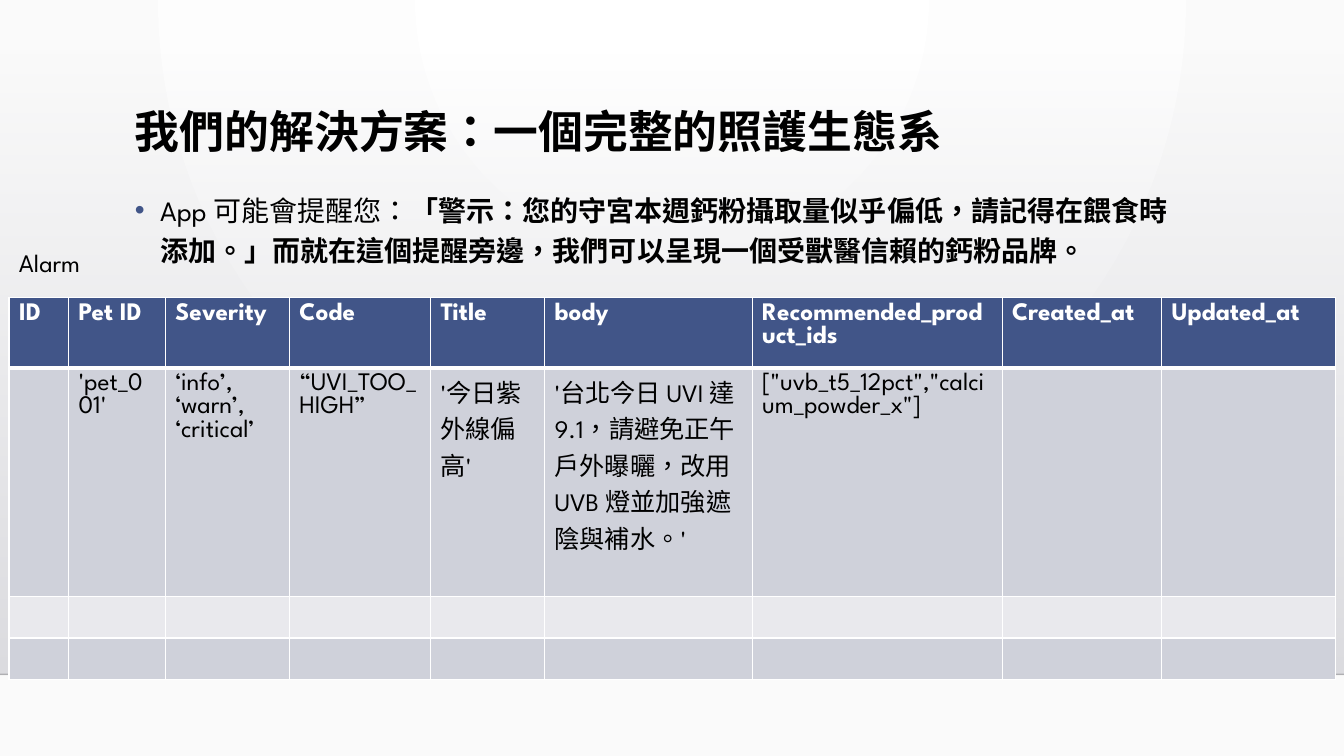
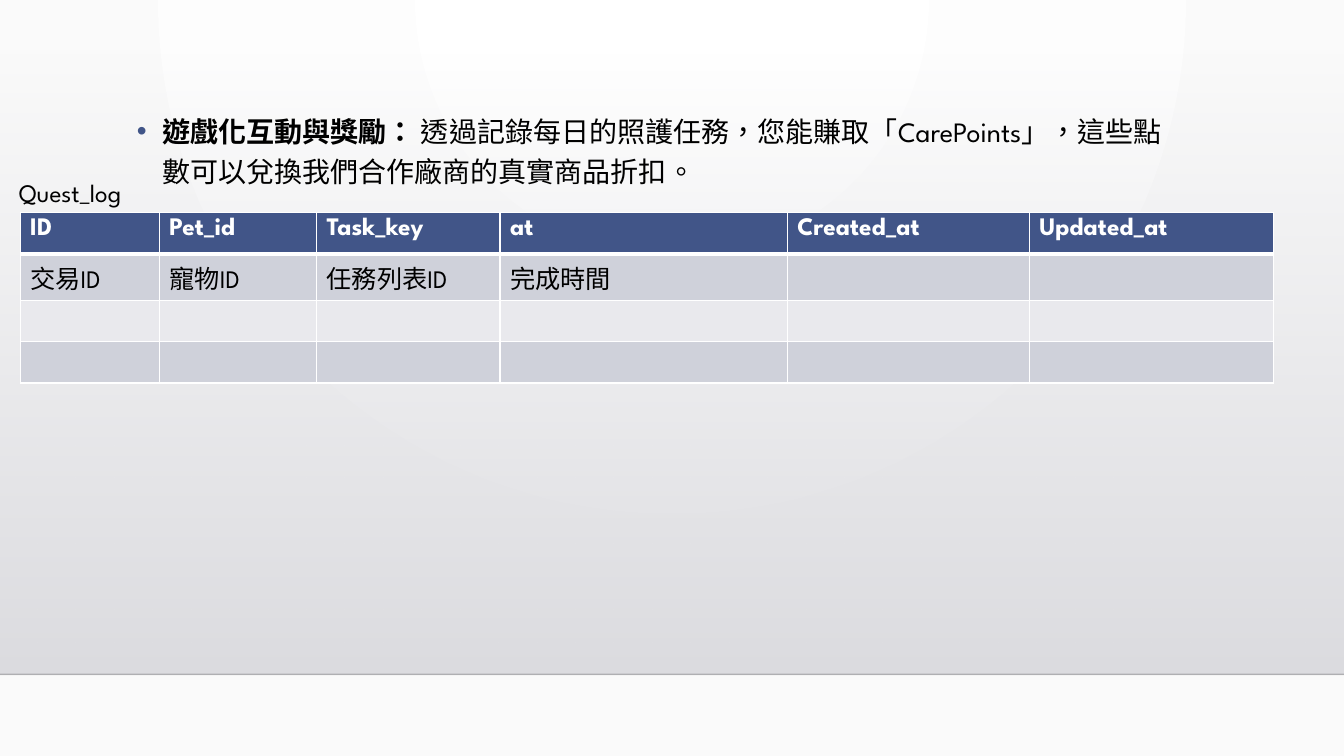
from dataclasses import dataclass

from lxml.etree import SubElement
from pptx import Presentation
from pptx.dml.color import RGBColor
from pptx.enum.lang import MSO_LANGUAGE_ID
from pptx.enum.shapes import MSO_CONNECTOR, MSO_SHAPE
from pptx.oxml import parse_xml
from pptx.oxml.ns import nsdecls, qn
from pptx.util import Pt

SCALE = 9144
WIDE, HIGH = 1333, 750


@dataclass(frozen=True)
class Theme:
    """Colours and type sizes of the deck."""
    font: str = "League Spartan"
    ink: str = "000000"
    white: str = "FFFFFF"
    paper: str = "FAFAFA"
    mist: str = "DCDCE0"
    haze: str = "DEDEE2"
    rule: str = "000001"
    blue: str = "415588"
    bands: tuple = ("CFD1DA", "E9E9ED")
    title: int = 32
    body: int = 20
    small: int = 18


def px(size):
    """Turn px into EMU."""
    return size * SCALE


def blend(node, first, last, shade, alpha=100):
    """Swap the empty fill of a node for a two-stop gradient."""
    fill = parse_xml(
        f'<a:gradFill {nsdecls("a")} rotWithShape="1"><a:gsLst>'
        f'<a:gs pos="0"><a:srgbClr val="{first}"><a:alpha val="{alpha * 1000}"/></a:srgbClr></a:gs>'
        f'<a:gs pos="100000"><a:srgbClr val="{last}"/></a:gs>'
        f'</a:gsLst>{shade}</a:gradFill>')
    blank = next(node.iter(qn("a:noFill")))
    blank.getparent().replace(blank, fill)


class Deck:
    """Hold the style and the current slide."""

    def __init__(self, theme):
        """Start a deck with the shared background."""
        self.theme = theme
        self.file = Presentation()
        self.file.slide_width, self.file.slide_height = px(WIDE), px(HIGH)
        master = self.file.slide_master
        master.background.fill.background()
        blend(master.element, theme.white, theme.paper,
              '<a:path path="circle"><a:fillToRect l="43000" t="0" r="43000" b="100000"/></a:path>')

    def page(self):
        """Add a slide with the shaded wall and floor line."""
        look = self.theme
        self.slide = self.file.slides.add_slide(self.file.slide_layouts[6])
        wall = self.slide.shapes.add_shape(MSO_SHAPE.RECTANGLE, 0, px(51), px(WIDE), px(618))
        wall.shadow.inherit = False
        wall.fill.background()
        wall.line.fill.background()
        blend(wall.element, look.mist, look.haze, '<a:lin ang="5400000" scaled="0"/>', 0)
        floor = self.slide.shapes.add_connector(
            MSO_CONNECTOR.STRAIGHT, 0, px(669), px(WIDE), px(669))
        floor.line.width = Pt(1)
        floor.line.color.rgb = RGBColor.from_string(look.rule)
        tone = next(floor.element.iter(qn("a:srgbClr")))
        SubElement(tone, qn("a:alpha"), val="20000")
        SubElement(floor.element.spPr, qn("a:effectLst"))

    def style(self, para, size, color, bold=None):
        """Set the font of a paragraph."""
        font = para.font
        font.name, font.size, font.bold = self.theme.font, Pt(size), bold
        font.language_id = MSO_LANGUAGE_ID.TRADITIONAL_CHINESE
        font.color.rgb = RGBColor.from_string(color)

    def text(self, box, size, words="", bold=None):
        """Add a text box and return its paragraph."""
        frame = self.slide.shapes.add_textbox(*map(px, box)).text_frame
        frame.word_wrap = True
        para = frame.paragraphs[0]
        para.text = words
        self.style(para, size, self.theme.ink, bold)
        return para

    def title(self, box, words):
        """Add the slide title."""
        self.text(box, self.theme.title, words, True).line_spacing = 0.9

    def label(self, box, words):
        """Add the name of a table."""
        self.text(box, self.theme.small, words)

    def point(self, box, parts):
        """Add a bullet made of (words, bold) parts."""
        para = self.text(box, self.theme.body)
        para.line_spacing = 1.2
        for words, bold in parts:
            run = para.add_run()
            run.text, run.font.bold = words, bold
        props = para._p.get_or_add_pPr()
        props.set("marL", str(px(25)))
        props.set("indent", str(px(-25)))
        marks = (
            f'<a:buClr {nsdecls("a")}><a:srgbClr val="{self.theme.blue}"/></a:buClr>',
            f'<a:buFont {nsdecls("a")} typeface="Arial"/>',
            f'<a:buChar {nsdecls("a")} char="•"/>')
        last = props.find(qn("a:defRPr"))
        for mark in marks:
            last.addprevious(parse_xml(mark))

    def edge(self, cell, row):
        """Draw white cell borders, thick below the header."""
        props = cell._tc.get_or_add_tcPr()
        thick = {0: "B", 1: "T"}.get(row)
        for spot, side in enumerate("LRTB"):
            width = Pt(3 if side == thick else 1)
            props.insert(spot, parse_xml(
                f'<a:ln{side} {nsdecls("a")} w="{width}"><a:solidFill>'
                f'<a:srgbClr val="{self.theme.white}"/></a:solidFill></a:ln{side}>'))

    def table(self, left, top, cols, rows, head, data):
        """Add a banded table whose rows past the data are empty."""
        look = self.theme
        grid = self.slide.shapes.add_table(
            len(rows), len(cols), px(left), px(top), px(sum(cols)), px(sum(rows))).table
        for col, wide in zip(grid.columns, cols):
            col.width = px(wide)
        for row, tall in enumerate(rows):
            grid.rows[row].height = px(tall)
            words = (head, data)[row] if row < 2 else ()
            for col in range(len(cols)):
                cell = grid.cell(row, col)
                cell.text = words[col] if col < len(words) else ""
                cell.fill.solid()
                tone = look.bands[(row - 1) % 2] if row else look.blue
                cell.fill.fore_color.rgb = RGBColor.from_string(tone)
                self.style(cell.text_frame.paragraphs[0], look.small,
                           look.ink if row else look.white, not row)
                self.edge(cell, row)


def alarm(deck):
    """Build the alarm slide."""
    deck.page()
    deck.title((124, 104, 1050, 115), "我們的解決方案：一個完整的照護生態系")
    deck.point((124, 180, 1050, 115), [
        ("App 可能會提醒您：", False),
        ("「警示：您的守宮本週鈣粉攝取量似乎偏低，請記得在餵食時添加。」"
         "而就在這個提醒旁邊，我們可以呈現一個受獸醫信賴的鈣粉品牌。", True)])
    deck.table(
        9, 295, (59, 96, 123, 140, 113, 206, 248, 158, 173), (56, 227, 41, 41),
        ("ID", "Pet ID", "Severity", "Code", "Title", "body",
         "Recommended_product_ids", "Created_at", "Updated_at"),
        ("", "'pet_001'", "‘info’, ‘warn’, ‘critical’", "“UVI_TOO_HIGH”",
         "'今日紫外線偏高'",
         "'台北今日 UVI 達 9.1，請避免正午戶外曝曬，改用 UVB 燈並加強遮陰與補水。'",
         '["uvb_t5_12pct","calcium_powder_x"]'))
    deck.label((9, 240, 114, 40), "Alarm")


def quest(deck):
    """Build the quest log slide."""
    deck.page()
    deck.point((126, 102, 1050, 109), [
        ("遊戲化互動與獎勵：", True),
        (" 透過記錄每日的照護任務，您能賺取「CarePoints」，"
         "這些點數可以兌換我們合作廠商的真實商品折扣。", False)])
    deck.table(
        20, 211, (138, 156, 182, 285, 240, 242), (41, 46, 41, 41),
        ("ID", "Pet_id", "Task_key", "at", "Created_at", "Updated_at"),
        ("交易ID", "寵物ID", "任務列表ID", "完成時間"))
    deck.label((9, 171, 464, 40), "Quest_log")


def main():
    """Build and save the deck."""
    deck = Deck(Theme())
    alarm(deck)
    quest(deck)
    deck.file.save("out.pptx")


if __name__ == "__main__":
    main()
